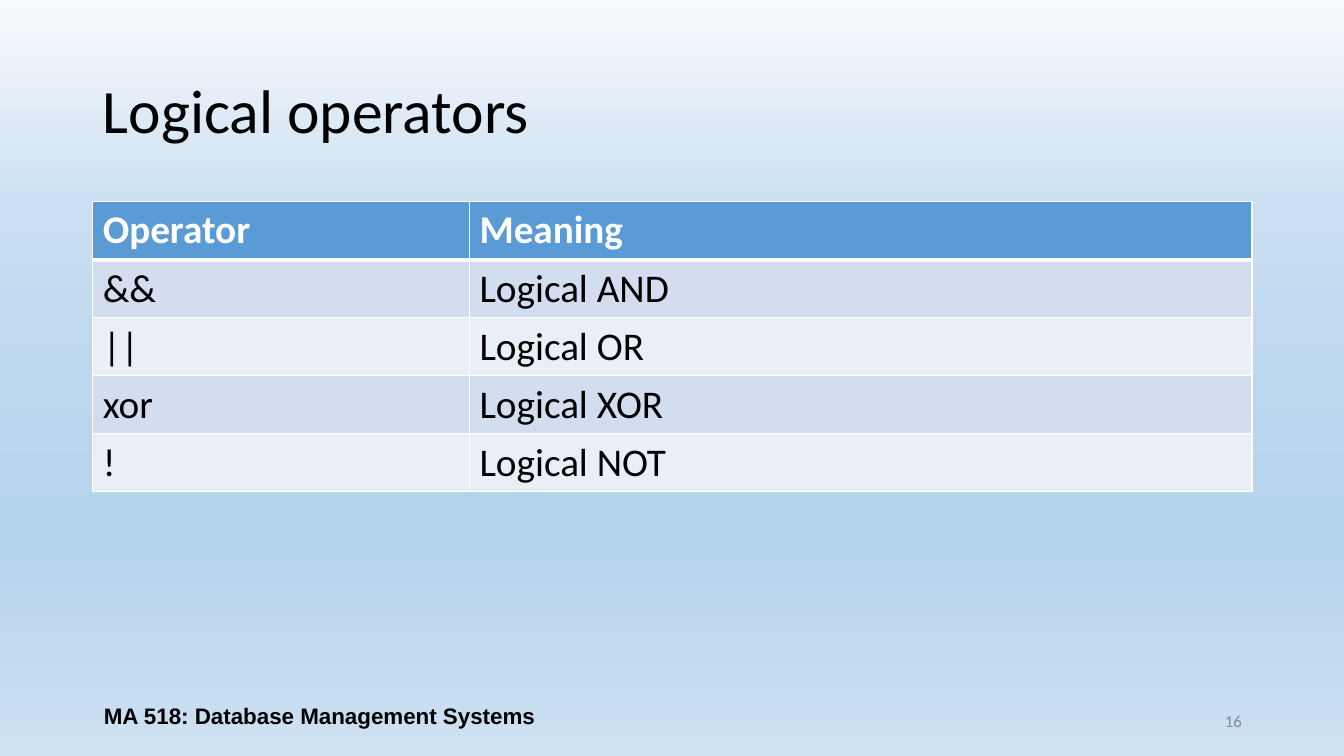
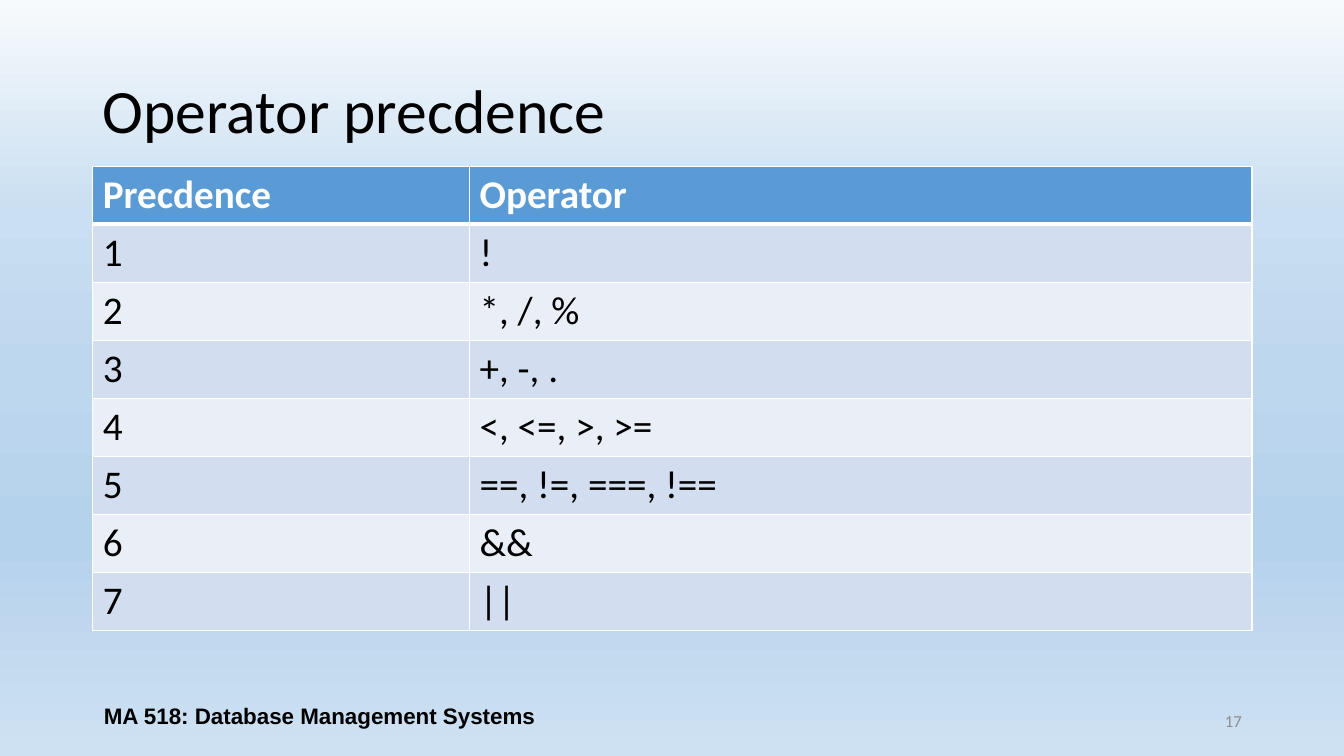
import dataclasses

import lxml.etree
import pptx
import pptx.dml.color
import pptx.enum.text
import pptx.oxml.ns
import pptx.util

ALIGN = pptx.enum.text.PP_ALIGN
MIDDLE = pptx.enum.text.MSO_ANCHOR.MIDDLE


@dataclasses.dataclass(frozen=True)
class Theme:
    ink: str = "000000"
    white: str = "FFFFFF"
    muted: str = "8C8C8C"
    header: str = "5B9BD5"
    bands: tuple = ("D2DEEF", "EAEFF7")
    sky: tuple = ((0, "F7FAFD"), (28, "CADFF1"), (49, "BDD7EE"),
                  (71, "B5D2EC"), (72, "B5D2EC"), (100, "CEE1F2"))
    font: str = "Calibri"
    footer_font: str = "Arial"
    title_size: int = 44
    table_size: int = 28
    footer_size: int = 16
    number_size: int = 12
    rule: int = 1
    header_rule: int = 3


THEME = Theme()
WIDTH, HEIGHT = pptx.util.Inches(13.333), pptx.util.Inches(7.5)

# Boxes are left, top, width, height in percent of the slide
TITLE_BOX = (6.9, 5.33, 86.25, 19.33)
FOOTER_BOX = (6.9, 92, 33.75, 5.33)
NUMBER_BOX = (70.65, 92.67, 22.5, 5.33)
TABLE_LEFT, TABLE_WIDTH, ROW_HEIGHT = 6.9, 86.25, 7.67
COLUMN_SHARES = (0.325, 0.675)

FOOTER = "MA 518: Database Management Systems"
FIRST_NUMBER = 16
SLIDES = [
    ("Logical operators", 26.67, [
        ("Operator", "Meaning"),
        ("&&", "Logical AND"),
        ("||", "Logical OR"),
        ("xor", "Logical XOR"),
        ("!", "Logical NOT"),
    ]),
    ("Operator precdence", 22, [
        ("Precdence", "Operator"),
        ("1", "!"),
        ("2", "*, /, %"),
        ("3", "+, -, ."),
        ("4", "<, <=, >, >="),
        ("5", "==, !=, ===, !=="),
        ("6", "&&"),
        ("7", "||"),
    ]),
]


def place(box):
    """Turn a box in percent into slide lengths."""
    return [round(share * side / 100)
            for share, side in zip(box, (WIDTH, HEIGHT) * 2)]


def write(tf, text, size, color, font=THEME.font, bold=False, align=ALIGN.LEFT):
    p = tf.paragraphs[0]
    p.alignment = align
    r = p.add_run()
    r.text = text
    r.font.name, r.font.size, r.font.bold = font, pptx.util.Pt(size), bold
    r.font.color.rgb = pptx.dml.color.RGBColor.from_string(color)
    return p


def add_child(parent, tag, **attributes):
    return lxml.etree.SubElement(parent, pptx.oxml.ns.qn(tag), attributes)


def paint_background(master):
    fill = master.background.fill
    fill.gradient()
    fill.gradient_angle = 270
    stops = master.element.xpath(".//p:bg//a:gsLst")[0]
    for stop in list(stops):
        stops.remove(stop)
    for position, color in THEME.sky:
        stop = add_child(stops, "a:gs", pos=str(position * 1000))
        add_child(stop, "a:srgbClr", val=color)


def set_title(slide, text):
    sp = slide.shapes.title
    sp.left, sp.top, sp.width, sp.height = place(TITLE_BOX)
    tf = sp.text_frame
    tf.auto_size = pptx.enum.text.MSO_AUTO_SIZE.NONE
    tf.vertical_anchor = MIDDLE
    p = write(tf, text, THEME.title_size, THEME.ink)
    p.line_spacing = 0.9


def add_label(slide, box, text, size, color, **style):
    tf = slide.shapes.add_textbox(*place(box)).text_frame
    tf.word_wrap = True
    tf.vertical_anchor = MIDDLE
    write(tf, text, size, color, **style)


def add_footer(slide, number):
    add_label(slide, NUMBER_BOX, str(number), THEME.number_size, THEME.muted,
              align=ALIGN.RIGHT)
    add_label(slide, FOOTER_BOX, FOOTER, THEME.footer_size, THEME.ink,
              font=THEME.footer_font, bold=True, align=ALIGN.CENTER)


def set_borders(cell, top, bottom):
    tc_pr = cell._tc.get_or_add_tcPr()
    widths = {"L": THEME.rule, "R": THEME.rule, "T": top, "B": bottom}
    for side, width in widths.items():
        line = add_child(tc_pr, f"a:ln{side}", w=str(pptx.util.Pt(width)))
        add_child(add_child(line, "a:solidFill"), "a:srgbClr", val=THEME.white)


def format_cell(cell, text, row):
    is_header = row == 0
    # The heavy rule is shared by the header and the first body row
    set_borders(cell,
                top=THEME.header_rule if row == 1 else THEME.rule,
                bottom=THEME.header_rule if is_header else THEME.rule)
    fill = THEME.header if is_header else THEME.bands[(row - 1) % 2]
    cell.fill.solid()
    cell.fill.fore_color.rgb = pptx.dml.color.RGBColor.from_string(fill)
    write(cell.text_frame, text, THEME.table_size,
          THEME.white if is_header else THEME.ink, bold=is_header)


def add_operator_table(slide, top, rows):
    box = place((TABLE_LEFT, top, TABLE_WIDTH, ROW_HEIGHT * len(rows)))
    table = slide.shapes.add_table(len(rows), len(COLUMN_SHARES), *box).table
    for column, share in zip(table.columns, COLUMN_SHARES):
        column.width = round(box[2] * share)
    for i, texts in enumerate(rows):
        for j, text in enumerate(texts):
            format_cell(table.cell(i, j), text, i)


def add_table_slide(prs, number, title, top, rows):
    slide = prs.slides.add_slide(prs.slide_layouts.get_by_name("Title Only"))
    set_title(slide, title)
    add_operator_table(slide, top, rows)
    add_footer(slide, number)


def main():
    prs = pptx.Presentation()
    prs.slide_width, prs.slide_height = WIDTH, HEIGHT
    paint_background(prs.slide_master)
    for number, content in enumerate(SLIDES, FIRST_NUMBER):
        add_table_slide(prs, number, *content)
    prs.save("out.pptx")


if __name__ == "__main__":
    main()
